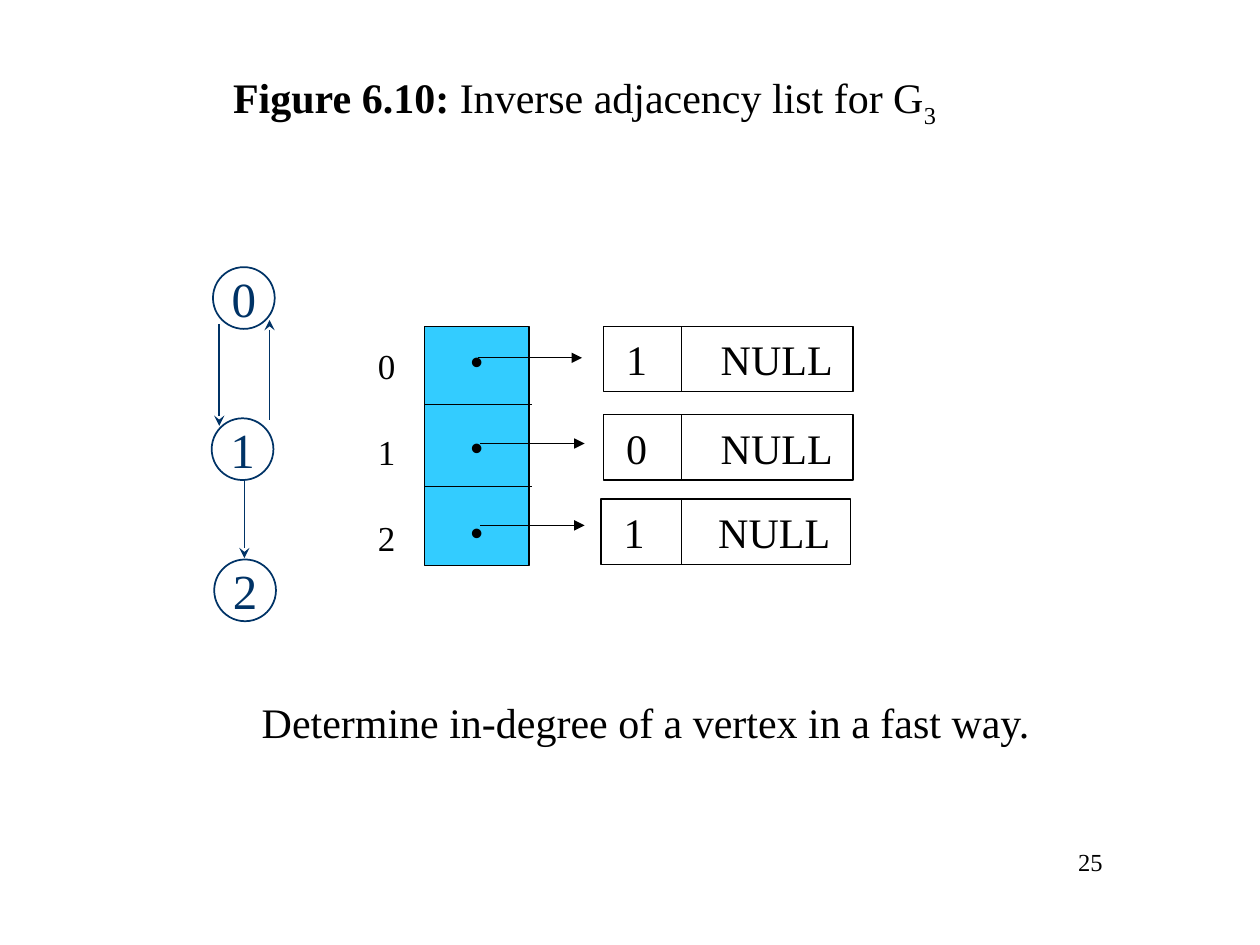
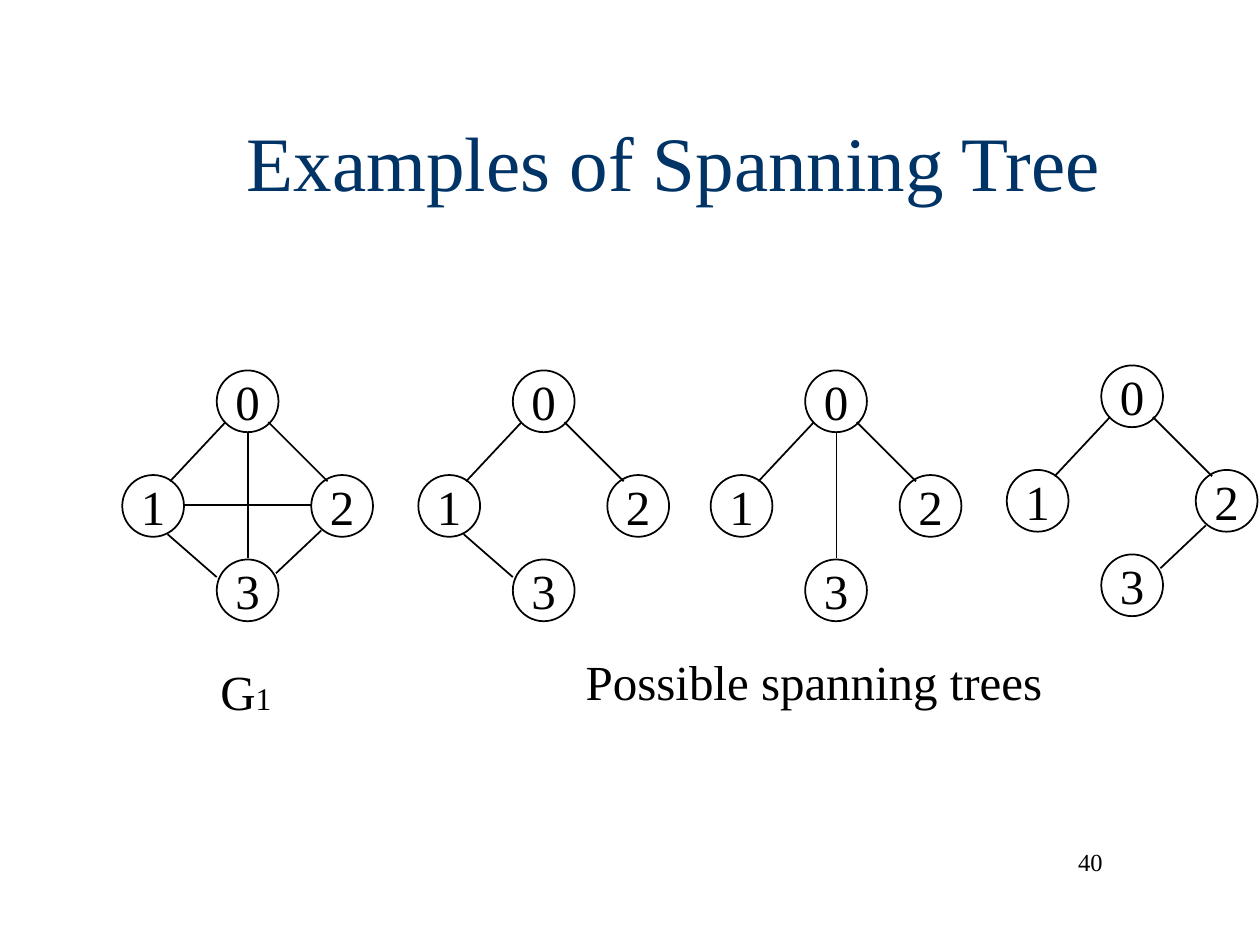
from dataclasses import dataclass
from lxml.etree import SubElement as Sub
from pptx import Presentation
from pptx.dml.color import RGBColor as Rgb
from pptx.enum.shapes import MSO_CONNECTOR as Conn, MSO_SHAPE as Kind
from pptx.enum.text import MSO_ANCHOR as Anchor, PP_ALIGN as Align
from pptx.oxml.ns import qn
from pptx.util import Inches, Pt


@dataclass(frozen=True)
class Theme:
    ink: str = "000000"
    navy: str = "003366"
    sky: str = "33CCFF"
    paper: str = "FFFFFF"
    serif: str = "Times New Roman"
    sans: str = "Arial"
    title: int = 44
    node: int = 28
    body: int = 24
    label: int = 20
    sub: int = 18
    page: int = 14
    thin: float = 0.75
    line: float = 1
    dia: float = 0.49


T = Theme()

# Nodes and edges of a four-vertex graph, measured from its left and top
SPOTS = [(0.75, 0), (0, 0.83), (1.5, 0.83), (0.75, 1.5)]
EDGES = {
    "01": (0.82, 0.41, 0.38, 0.88),
    "02": (1.16, 0.41, 1.63, 0.88),
    "03": (1, 0.49, 1, 1.49),
    "12": (0.5, 1.07, 1.5, 1.07),
    "13": (0.36, 1.3, 0.75, 1.64),
    "23": (1.58, 1.27, 1.22, 1.61),
}


def apply(item, form):
    for name, value in form.items():
        setattr(item, name, value)


def write(shape, paras, size, color=T.ink, face=T.serif, align=Align.LEFT,
          anchor=Anchor.MIDDLE, wrap=False, gap=0, tab=None):
    """Fill a shape; each paragraph is a string or a list of (text, format)."""
    frame = shape.text_frame
    apply(frame, {"word_wrap": wrap, "vertical_anchor": anchor})
    for i, runs in enumerate(paras):
        para = frame.add_paragraph() if i else frame.paragraphs[0]
        para.alignment = align
        if i and gap:
            para.space_before = Pt(gap)
        if tab:
            stops = Sub(para._p.get_or_add_pPr(), qn("a:tabLst"))
            Sub(stops, qn("a:tab"), pos=str(Inches(tab)), algn="l")
        for text, form in [(runs, {})] if isinstance(runs, str) else runs:
            run = para.add_run()
            run.text = text
            apply(run.font, {"name": face, "size": Pt(size), **form})
            run.font.color.rgb = Rgb.from_string(color)
    return shape


def text(slide, box, paras, size, **form):
    area = slide.shapes.add_textbox(*map(Inches, box))
    return write(area, paras, size, **form)


def block(slide, kind, box, fill=T.paper, edge=T.ink, width=T.thin):
    shape = slide.shapes.add_shape(kind, *map(Inches, box))
    shape.shadow.inherit = False
    shape.fill.solid()
    shape.fill.fore_color.rgb = Rgb.from_string(fill)
    shape.line.color.rgb = Rgb.from_string(edge)
    shape.line.width = Pt(width)
    return shape


def link(slide, ends, color=T.ink, width=T.thin, head=None):
    line = slide.shapes.add_connector(Conn.STRAIGHT, *map(Inches, ends))
    line.line.color.rgb = Rgb.from_string(color)
    line.line.width = Pt(width)
    if head:
        Sub(line.line._get_or_add_ln(), qn("a:tailEnd"), type=head)
    Sub(line._element.spPr, qn("a:effectLst"))


def node(slide, x, y, name, color=T.ink):
    ring = block(slide, Kind.OVAL, (x, y, T.dia, T.dia), edge=color,
                 width=T.line)
    write(ring, [name], T.node, color=color, align=Align.CENTER)


def record(slide, x, y, key):
    cell = block(slide, Kind.RECTANGLE, (x, y, 1.98, 0.52))
    cell.text_frame.margin_left = Inches(0.18)
    write(cell, [key + "\tNULL"], T.body, wrap=True, tab=0.75)
    link(slide, (5.41, y, 5.41, y + 0.52))


def graph(slide, x, y, pairs):
    for i, (dx, dy) in enumerate(SPOTS):
        node(slide, x + dx, y + dy, str(i))
    for pair in pairs:
        x1, y1, x2, y2 = EDGES[pair]
        link(slide, (x + x1, y + y1, x + x2, y + y2), width=T.line)


def start(deck, page):
    slide = deck.slides.add_slide(deck.slide_layouts[6])
    text(slide, (6.77, 6.67, 2.08, 0.5), [page], T.page,
         align=Align.RIGHT, anchor=Anchor.TOP, wrap=True)
    return slide


def inverse(deck):
    slide = start(deck, "25")
    text(slide, (0.39, 0.34, 8.5, 0.91), [[
        ("Figure 6.10: ", {"bold": True}),
        ("Inverse adjacency list for G", {}),
        ("3", {}),
    ]], T.body, align=Align.CENTER, wrap=True)
    last = slide.shapes[-1].text_frame.paragraphs[0].runs[-1]
    last._r.get_or_add_rPr().set("baseline", "-25000")

    # Array of list heads
    heads = block(slide, Kind.RECTANGLE, (3.37, 2.59, 0.83, 1.9), T.sky)
    write(heads, ["•"] * 3, T.label, face=T.sans, align=Align.CENTER, gap=25)
    text(slide, (2.9, 2.7, 0.34, 1.77), list("012"), T.label, gap=25)
    for y in (3.21, 3.86):
        link(slide, (3.37, y, 4.22, y))
    for x, y in ((3.79, 2.84), (3.81, 3.52), (3.81, 4.17)):
        link(slide, (x, y, x + 0.83, y), head="triangle")

    # List records
    for x, y, key in ((4.79, 2.59, "1"), (4.79, 3.29, "0"), (4.77, 3.96, "1")):
        record(slide, x, y, key)

    # Directed graph
    for i, (x, y) in enumerate([(1.69, 2.12), (1.68, 3.32), (1.7, 4.44)]):
        node(slide, x, y, str(i), T.navy)
    for x, top, end in ((1.94, 3.82, 4.43), (2.14, 3.33, 2.54),
                        (1.74, 2.57, 3.38)):
        link(slide, (x, top, x, end), T.navy, T.line, "stealth")

    text(slide, (1.97, 5.48, 6.31, 0.5),
         ["Determine in-degree of a vertex in a fast way."], T.body,
         align=Align.CENTER)


def spanning(deck):
    slide = start(deck, "40")
    text(slide, (0.7, 0.65, 9.3, 1.25), ["Examples of Spanning Tree"],
         T.title, color=T.navy, align=Align.CENTER, wrap=True)

    # Full graph, then its trees
    graph(slide, 0.97, 2.94, EDGES)
    graph(slide, 3.32, 2.94, ("01", "02", "13"))
    graph(slide, 5.64, 2.94, ("01", "02", "03"))
    graph(slide, 7.99, 2.9, ("01", "02", "23"))

    # Captions
    text(slide, (1.65, 5.2, 0.61, 0.57),
         [[("G", {}), ("1", {"size": Pt(T.sub)})]], T.node, anchor=Anchor.TOP)
    text(slide, (4.55, 5.12, 3.83, 0.57), ["Possible spanning trees"],
         T.node, anchor=Anchor.TOP)


def main():
    deck = Presentation()
    apply(deck, {"slide_width": Inches(10), "slide_height": Inches(7.5)})
    inverse(deck)
    spanning(deck)
    deck.save("out.pptx")


if __name__ == "__main__":
    main()
